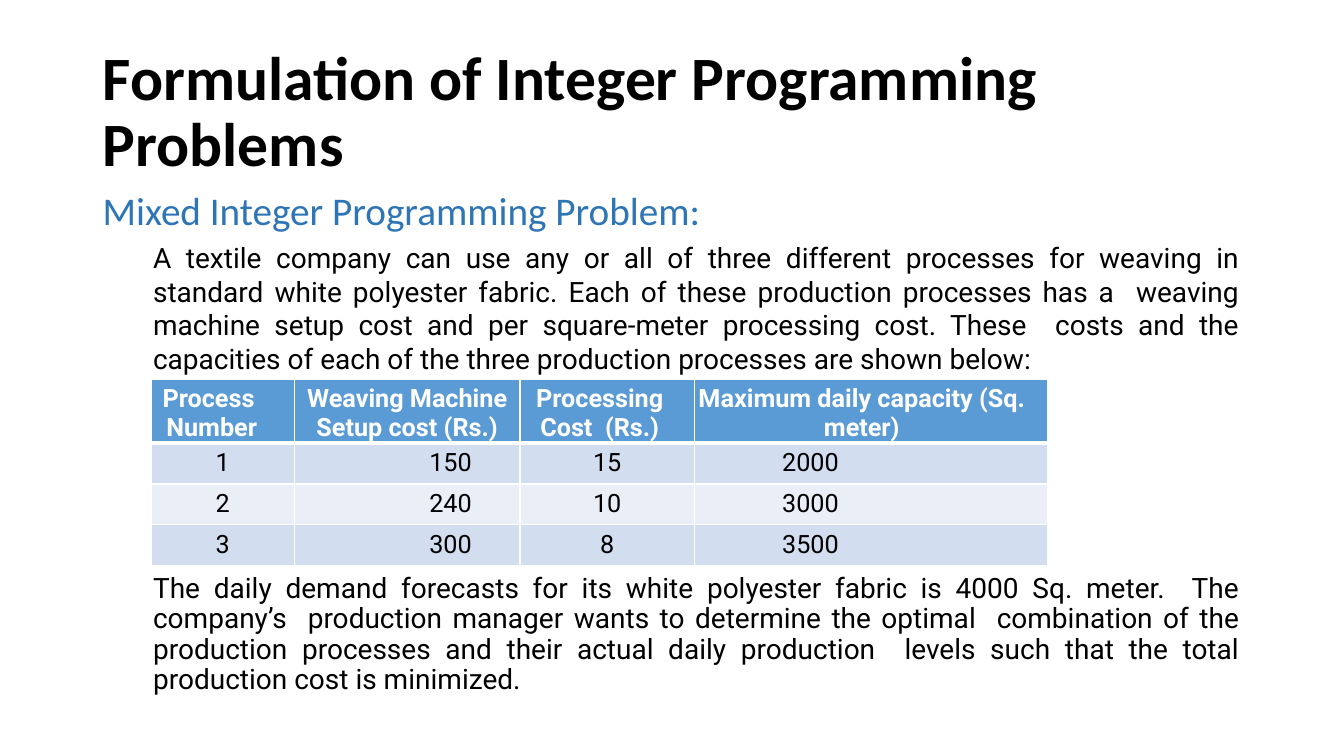
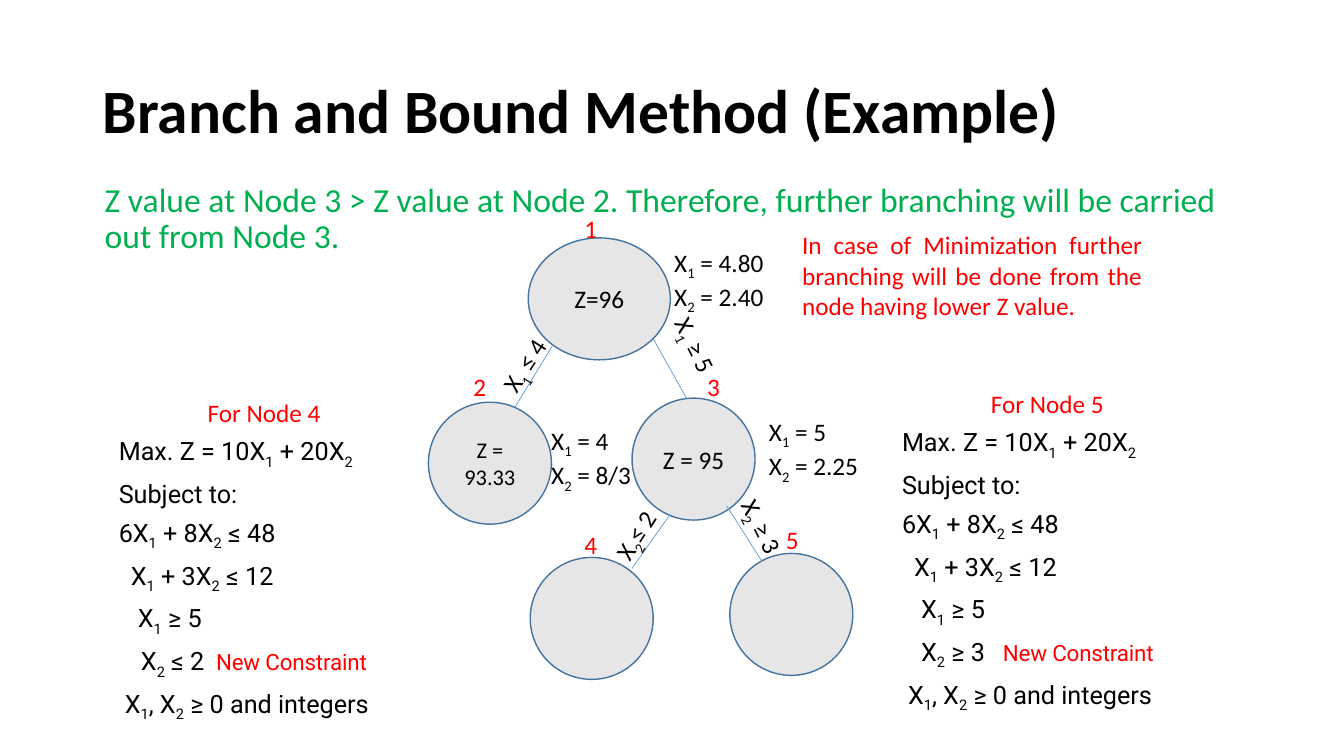
"""Build two slides on integer programming: a mixed problem and a branch and bound tree."""
from dataclasses import dataclass
from typing import Any

from lxml.etree import SubElement
from pptx import Presentation
from pptx.dml.color import RGBColor
from pptx.enum.shapes import MSO_CONNECTOR, MSO_SHAPE
from pptx.enum.text import MSO_ANCHOR, MSO_AUTO_SIZE, PP_ALIGN
from pptx.oxml.ns import qn
from pptx.util import Inches, Pt

BLACK, WHITE, RED, GREEN = "000000", "FFFFFF", "FF0000", "00B050"
BLUE, SKY, RIM, GREY = "2E75B6", "5B9BD5", "43739E", "E7E6E6"
BANDS = ("D2DEEF", "EAEFF7")
FRAME = {"word_wrap": True, "auto_size": MSO_AUTO_SIZE.NONE}
MID = FRAME | {"vertical_anchor": MSO_ANCHOR.MIDDLE}
LEFT = {"alignment": PP_ALIGN.LEFT}
CENTER = {"alignment": PP_ALIGN.CENTER}
EVEN = {"alignment": PP_ALIGN.JUSTIFY}
TIGHT = {"line_spacing": 0.9}


@dataclass(frozen=True)
class Look:
    size: float = 18
    color: str = BLACK
    name: str = "Calibri"
    bold: bool = False
    track: int = 0


@dataclass(frozen=True)
class Box:
    x: float
    y: float
    w: float
    h: float


@dataclass(frozen=True)
class Line:
    text: str
    look: Look = Look()
    form: Any = None
    inset: float = 0


@dataclass(frozen=True)
class Node:
    area: Box
    text: str
    size: float
    tag: tuple[float, float]


@dataclass(frozen=True)
class Edge:
    start: tuple[float, float]
    end: tuple[float, float]
    text: str
    area: Box
    turn: float


@dataclass(frozen=True)
class Model:
    x: float
    y: float
    num: int
    limit: str
    inset: float


HEAD = Look(44, bold=True)
BODY = Look(20, name="Roboto")
MATH = Look(name="Roboto")
NOTE = Look(16, RED, "Roboto", track=-10)
CELL = Look(name="Roboto")
TOP = Look(18, WHITE, "Roboto", True)
TITLE = Box(9.2, 4, 115, 14.5)
GRID = Box(15, 37.6, 88.9, 18.5)
COLS = (14.2, 22.4, 17.3, 35)
PADS = (0, 13.4, 0, 8.7)
ENDS = (2.2, 0, 1.5, 1.8)
ROWS = (
    ("Process  Number", "Weaving Machine Setup cost (Rs.)",
     "Processing Cost  (Rs.)", "Maximum daily capacity (Sq. meter)"),
    ("1", "150", "15", "2000"),
    ("2", "240", "10", "3000"),
    ("3", "300", "8", "3500"),
)
INTRO = (
    "A textile company can use any or all of three different processes for weaving in "
    "standard white polyester fabric. Each of these production processes has a  weaving "
    "machine setup cost and per square-meter processing cost. These  costs and the "
    "capacities of each of the three production processes are shown below:"
)
CLOSE = (
    "The daily demand forecasts for its white polyester fabric is 4000 Sq. meter.  The "
    "company’s  production manager wants to determine the optimal  combination of the "
    "production processes and their actual daily production  levels such that the total "
    "production cost is minimized."
)
LEAD = ("Z value at Node 3 > Z value at Node 2. Therefore, "
        "further branching will be carried out from Node 3.")
HINT = ("In case of Minimization further branching will be done "
        "from the node having lower Z value.")
NODES = (
    Node(Box(52.4, 23.6, 14.1, 12.1), "Z=96", 18, (53.6, 20.7)),
    Node(Box(42.5, 39.9, 12.2, 12.1), "Z = 93.33", 16, (42.6, 36.3)),
    Node(Box(62.7, 39.5, 12.2, 12.1), "Z = 95", 18, (65.8, 36.3)),
    Node(Box(52.6, 55.3, 12.2, 12.1), "", 18, (53.6, 52)),
    Node(Box(72.4, 54.9, 12.2, 12.1), "", 18, (73.6, 51.5)),
)
EDGES = (
    Edge((54.8, 34.3), (50.6, 41.2), "X_1 ≤ 4", Box(47.8, 33.6, 9.2, 4), 302.5),
    Edge((64.8, 33.6), (68.6, 40.4), "X_1 ≥ 5", Box(64.5, 33.3, 10.1, 4), 63.5),
    Edge((66.5, 51), (62.7, 56.4), "X_2≤ 2", Box(59, 50.2, 9.2, 4), 302.5),
    Edge((72.1, 50.2), (75.6, 55.7), "X_2 ≥ 3", Box(71.1, 51.3, 10.1, 4), 63.5),
)
ROOTS = (
    (Box(65.9, 24, 16.2, 7.1), "4.80", "2.40"),
    (Box(53.7, 41.7, 10.6, 7.2), "4", "8/3"),
    (Box(75.3, 40.8, 11.2, 7.1), "5", "2.25"),
)
MODELS = (
    Model(10.8, 38.9, 4, "X_2 ≤ 2 | New Constraint", 2.2),
    Model(88.5, 38, 5, "X_2 ≥ 3  | New Constraint", 1.9),
)


def unit(count: float) -> int:
    """Turn grid steps, 75 to the slide's height, into a length."""
    return Inches(count / 10)


def place(box: Box) -> tuple[int, ...]:
    """Give a box as four lengths."""
    return tuple(unit(v) for v in (box.x, box.y, box.w, box.h))


def tint(code: str) -> RGBColor:
    """Turn a hex string into a colour."""
    return RGBColor.from_string(code)


def paint(fill: Any, code: str) -> None:
    """Fill with one plain colour."""
    fill.solid()
    fill.fore_color.rgb = tint(code)


def apply(thing: Any, vals: dict[str, Any]) -> None:
    """Set each named value on a thing."""
    for key, val in vals.items():
        setattr(thing, key, val)


def add_run(par: Any, text: str, look: Look, sub: bool = False) -> None:
    """Add one run of text, lowered if asked."""
    run = par.add_run()
    run.text = text
    apply(run.font, {"size": Pt(look.size), "name": look.name, "bold": look.bold})
    run.font.color.rgb = tint(look.color)
    props = run._r.get_or_add_rPr()
    if look.track:
        props.set("spc", str(look.track))
    if sub:
        props.set("baseline", "-25000")


def write(par: Any, line: Line) -> None:
    """Write a line: _ lowers the next sign and | starts a note."""
    apply(par, line.form or LEFT)
    if line.inset:
        par._p.get_or_add_pPr().set("marL", str(unit(line.inset)))
    for chunk, look in zip(line.text.split("|"), (line.look, NOTE)):
        first, *rest = chunk.split("_")
        if first:
            add_run(par, first, look)
        for part in rest:
            add_run(par, part[0], look, True)
            if part[1:]:
                add_run(par, part[1:], look)


def fill_text(frame: Any, lines: list[Line], form: dict[str, Any] = FRAME) -> None:
    """Fill a text frame with lines."""
    apply(frame, form)
    for idx, line in enumerate(lines):
        write(frame.add_paragraph() if idx else frame.paragraphs[0], line)


def add_text(slide: Any, box: Box, lines: list[Line], turn: float = 0) -> None:
    """Add a text box, turned if asked."""
    shape = slide.shapes.add_textbox(*place(box))
    shape.rotation = turn
    fill_text(shape.text_frame, lines)


def add_slide(deck: Any, title: str) -> Any:
    """Add a slide with its title."""
    slide = deck.slides.add_slide(deck.slide_layouts[5])
    head = slide.shapes.title
    apply(head, dict(zip(("left", "top", "width", "height"), place(TITLE))))
    fill_text(head.text_frame, [Line(title, HEAD, LEFT | TIGHT)], MID)
    return slide


def edge_cell(cell: Any, head: bool) -> None:
    """Draw white borders round a cell, thick below the head."""
    props = cell._tc.get_or_add_tcPr()
    for idx, side in enumerate(("lnL", "lnR", "lnT", "lnB")):
        width = 3 if head and side == "lnB" else 1
        rule = props.makeelement(qn(f"a:{side}"), {"w": str(Pt(width))})
        fill = SubElement(rule, qn("a:solidFill"))
        SubElement(fill, qn("a:srgbClr")).set("val", WHITE)
        props.insert(idx, rule)


def add_costs(slide: Any) -> None:
    """Add the table of costs."""
    table = slide.shapes.add_table(len(ROWS), len(COLS), *place(GRID)).table
    table.horz_banding = False
    for col, width in zip(table.columns, COLS):
        col.width = unit(width)
    for r, row in enumerate(ROWS):
        table.rows[r].height = unit(4.05 if r else 6.3)
        for c, text in enumerate(row):
            cell = table.cell(r, c)
            pad, end = (PADS[c], 0) if r else (0, ENDS[c])
            apply(cell, {"margin_left": unit(pad), "margin_right": unit(end),
                         "margin_top": unit(0.5), "margin_bottom": 0})
            paint(cell.fill, BANDS[(r - 1) % 2] if r else SKY)
            edge_cell(cell, r == 0)
            write(cell.text_frame.paragraphs[0],
                  Line(text, CELL if r else TOP, LEFT if pad else CENTER))


def add_node(slide: Any, node: Node) -> None:
    """Add one round node of the tree."""
    disc = slide.shapes.add_shape(MSO_SHAPE.OVAL, *place(node.area))
    disc.shadow.inherit = False
    paint(disc.fill, GREY)
    paint(disc.line.fill, RIM)
    disc.line.width = Pt(1)
    fill_text(disc.text_frame, [Line(node.text, Look(node.size), CENTER)], MID)


def add_edge(slide: Any, edge: Edge) -> None:
    """Add one branch with its bound."""
    ends = (unit(v) for v in edge.start + edge.end)
    link = slide.shapes.add_connector(MSO_CONNECTOR.STRAIGHT, *ends)
    paint(link.line.fill, SKY)
    link.line.width = Pt(0.5)
    SubElement(link._element.spPr, qn("a:effectLst"))
    add_text(slide, edge.area, [Line(edge.text)], edge.turn)


def add_model(slide: Any, model: Model) -> None:
    """Add the problem to solve at a new node."""
    rows = (("Max. Z = 10X_1 + 20X_2", 0), ("Subject to:", 0),
            ("6X_1 + 8X_2 ≤ 48", 0), ("X_1 + 3X_2 ≤ 12", 1.2),
            ("X_1 ≥ 5", 1.9), (model.limit, model.inset),
            ("X_1, X_2 ≥ 0 and integers", 0.6))
    form = LEFT | {"space_before": Pt(6)}
    lines = [Line(f"For Node {model.num}", Look(color=RED), CENTER)]
    lines += [Line(text, MATH, form, inset) for text, inset in rows]
    add_text(slide, Box(model.x, model.y, 30.8, 31.1), lines)


def mixed(deck: Any) -> None:
    """Build the slide on the mixed problem."""
    slide = add_slide(deck, "Formulation of Integer Programming Problems")
    add_text(slide, Box(9.2, 18.5, 114.8, 19), [
        Line("Mixed Integer Programming Problem:", Look(28, BLUE), EVEN | TIGHT),
        Line(INTRO, BODY, EVEN | {"space_before": Pt(5)}, 5),
    ])
    add_costs(slide)
    add_text(slide, Box(9.2, 56.5, 114.8, 14), [Line(CLOSE, BODY, EVEN | TIGHT, 5)])


def branch(deck: Any) -> None:
    """Build the slide on the tree."""
    slide = add_slide(deck, "Branch and Bound Method (Example)")
    add_text(slide, Box(9.4, 17.7, 115, 9), [Line(LEAD, Look(24, GREEN), TIGHT)])
    for nodes, edges in ((NODES[:1], EDGES[:2]), (NODES[1:], EDGES[2:])):
        for node in nodes:
            add_node(slide, node)
        for edge in edges:
            add_edge(slide, edge)
    for num, node in enumerate(NODES, 1):
        add_text(slide, Box(*node.tag, 10, 4), [Line(str(num), Look(color=RED), CENTER)])
    for box, *roots in ROOTS:
        add_text(slide, box, [Line(f"X_{i} = {val}") for i, val in enumerate(roots, 1)])
    for model in MODELS:
        add_model(slide, model)
    add_text(slide, Box(78.6, 22.3, 35.7, 10.1), [Line(HINT, Look(color=RED), EVEN)])


def main() -> None:
    """Build and save the deck."""
    deck = Presentation()
    apply(deck, {"slide_width": unit(133.33), "slide_height": unit(75)})
    mixed(deck)
    branch(deck)
    deck.save("out.pptx")


if __name__ == "__main__":
    main()
